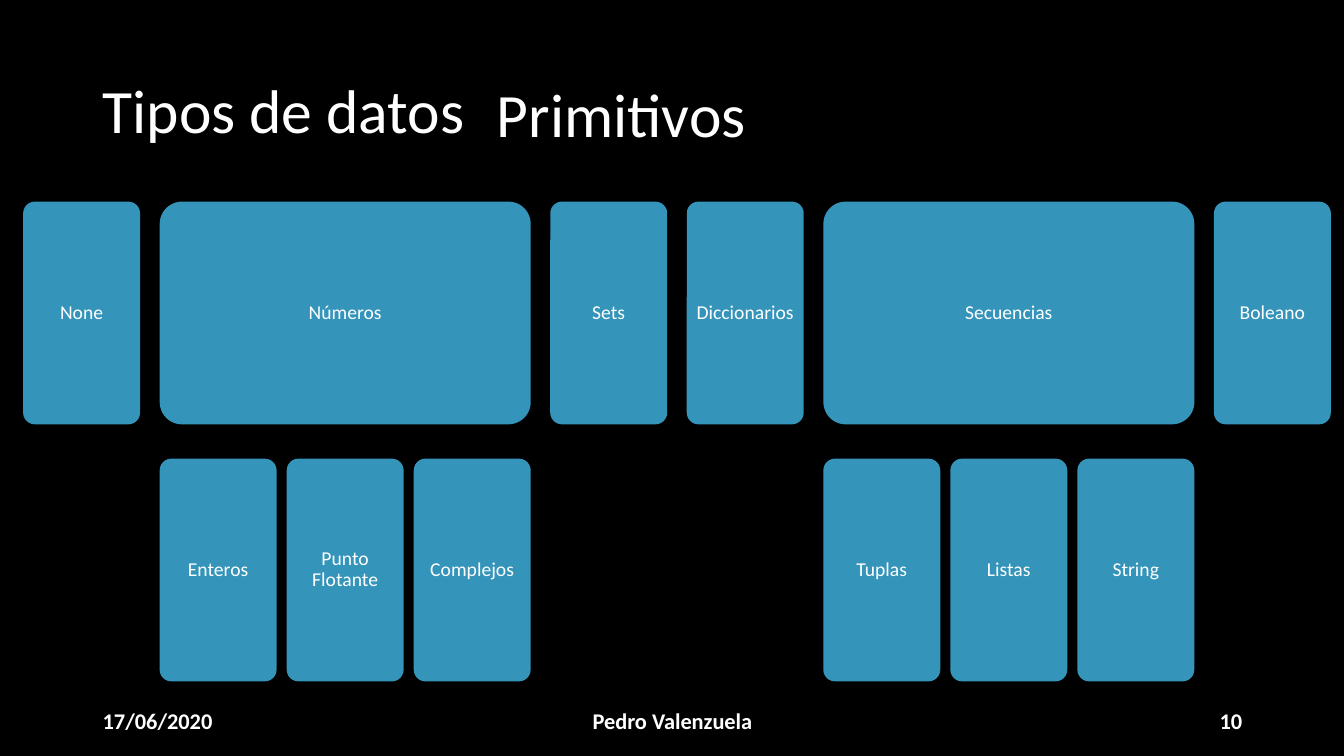
from pptx import Presentation
from pptx.dml.color import RGBColor
from pptx.enum.shapes import MSO_SHAPE
from pptx.enum.text import MSO_ANCHOR, PP_ALIGN
from pptx.util import Inches, Pt

COLORS = {"background": "000000", "card": "3494BA", "text": "FFFFFF"}
FONT = "Calibri"

HEADINGS = [
    ("Tipos de datos", (0.92, 0.4, 11.5, 1.45), 44, False, PP_ALIGN.LEFT, MSO_ANCHOR.MIDDLE, 0.9),
    ("Primitivos", (4.83, 0.7, 2.78, 0.84), 44, False, PP_ALIGN.LEFT, MSO_ANCHOR.TOP, 1.0),
]
FOOTERS = [
    ("17/06/2020", (0.92, 6.95, 3, 0.4), 16, True, PP_ALIGN.LEFT, MSO_ANCHOR.MIDDLE, 1.0),
    ("Pedro Valenzuela", (4.42, 6.95, 4.5, 0.4), 16, True, PP_ALIGN.CENTER, MSO_ANCHOR.MIDDLE, 1.0),
    ("10", (9.42, 6.95, 3, 0.4), 16, True, PP_ALIGN.RIGHT, MSO_ANCHOR.MIDDLE, 1.0),
]
DATA_TYPES = [
    ("None", []),
    ("Números", ["Enteros", "Punto Flotante", "Complejos"]),
    ("Sets", []),
    ("Diccionarios", []),
    ("Secuencias", ["Tuplas", "Listas", "String"]),
    ("Boleano", []),
]

TREE_LEFT, TREE_RIGHT = 0.23, 13.2
TYPE_TOP, SUBTYPE_TOP = 2, 4.55
CARD_WIDTH, CARD_HEIGHT = 1.16, 2.21
SUBTYPE_GAP = 0.1
CARD_INSET = 0.05


def rgb(name):
    return RGBColor.from_string(COLORS[name])


def write(frame, text, size, bold, align, anchor, spacing):
    frame.word_wrap = True
    frame.vertical_anchor = anchor
    paragraph = frame.paragraphs[0]
    paragraph.alignment = align
    paragraph.line_spacing = spacing
    run = paragraph.add_run()
    run.text = text
    run.font.name = FONT
    run.font.size = Pt(size)
    run.font.bold = bold
    run.font.color.rgb = rgb("text")


def add_label(slide, text, box, *style):
    label = slide.shapes.add_textbox(*map(Inches, box))
    write(label.text_frame, text, *style)


def add_card(slide, text, left, top, width):
    card = slide.shapes.add_shape(
        MSO_SHAPE.ROUNDED_RECTANGLE, *map(Inches, (left, top, width, CARD_HEIGHT)))
    card.adjustments[0] = 0.1
    card.shadow.inherit = False
    card.fill.solid()
    card.fill.fore_color.rgb = rgb("card")
    card.line.fill.background()
    frame = card.text_frame
    frame.margin_left = frame.margin_right = Inches(CARD_INSET)
    frame.margin_top = frame.margin_bottom = Inches(CARD_INSET)
    write(frame, text, 14, False, PP_ALIGN.CENTER, MSO_ANCHOR.MIDDLE, 0.9)


def type_width(subtypes):
    columns = max(1, len(subtypes))
    return columns * CARD_WIDTH + (columns - 1) * SUBTYPE_GAP


def add_type_tree(slide):
    widths = [type_width(subtypes) for _, subtypes in DATA_TYPES]
    type_gap = (TREE_RIGHT - TREE_LEFT - sum(widths)) / (len(widths) - 1)
    left = TREE_LEFT
    for (data_type, subtypes), width in zip(DATA_TYPES, widths):
        add_card(slide, data_type, left, TYPE_TOP, width)
        for column, subtype in enumerate(subtypes):
            subtype_left = left + column * (CARD_WIDTH + SUBTYPE_GAP)
            add_card(slide, subtype, subtype_left, SUBTYPE_TOP, CARD_WIDTH)
        left += width + type_gap


def main():
    deck = Presentation()
    deck.slide_width, deck.slide_height = Inches(13.33), Inches(7.5)
    slide = deck.slides.add_slide(deck.slide_layouts[6])
    slide.background.fill.solid()
    slide.background.fill.fore_color.rgb = rgb("background")
    for label in HEADINGS + FOOTERS:
        add_label(slide, *label)
    add_type_tree(slide)
    deck.save("out.pptx")


if __name__ == "__main__":
    main()
